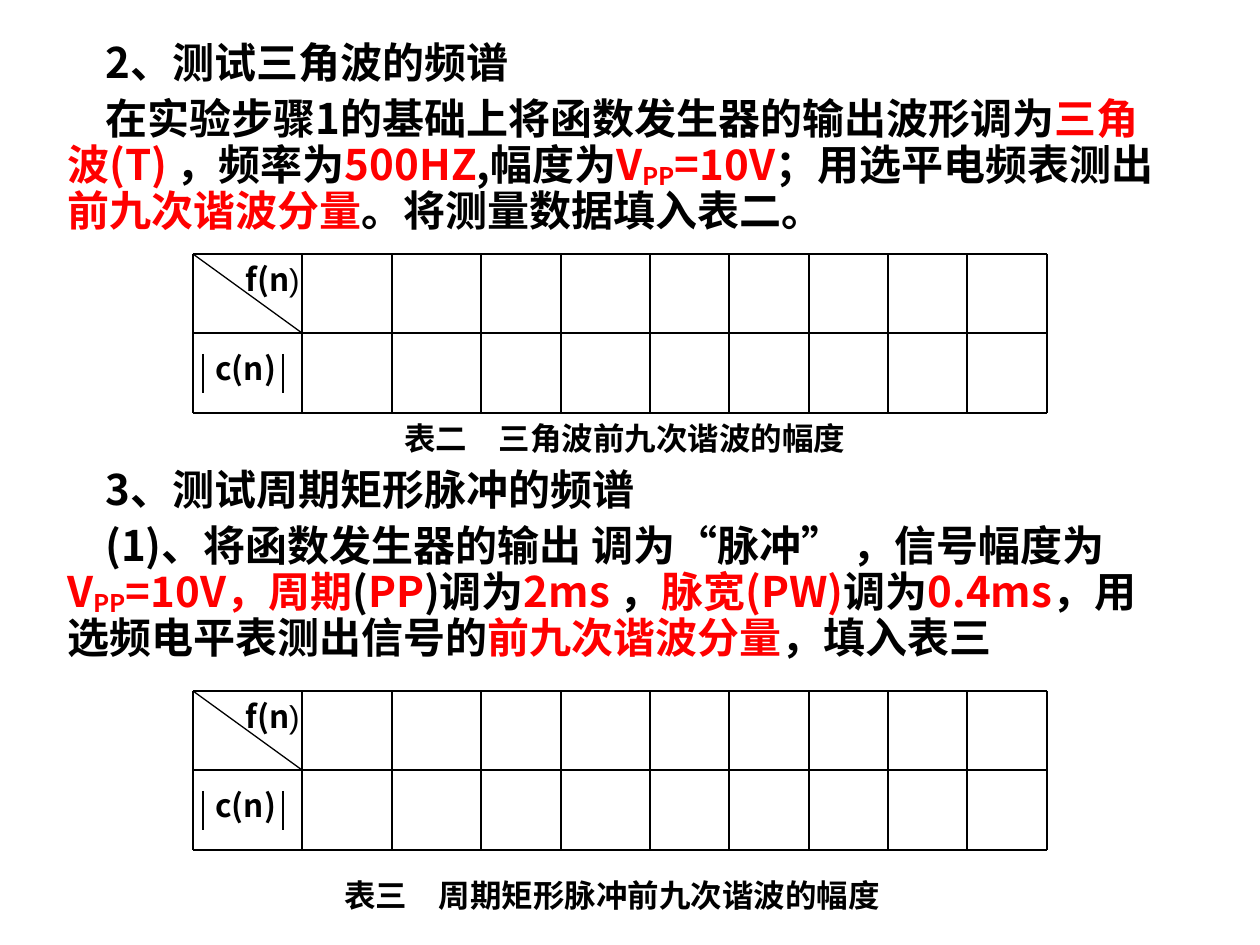
from dataclasses import dataclass
from itertools import accumulate

from lxml import etree
from pptx import Presentation
from pptx.dml.color import RGBColor
from pptx.enum.shapes import MSO_CONNECTOR
from pptx.oxml.ns import qn
from pptx.util import Pt

PX = 914400 // 126
BLACK = RGBColor(0, 0, 0)
RED = RGBColor(0xFF, 0, 0)
STRAIGHT = MSO_CONNECTOR.STRAIGHT
SANS = "Noto Sans CJK SC"
ARIAL = "Arial"
LINE_WIDTH = Pt(0.75)
GRID_LEFT = 193
COLUMN_WIDTHS = (109, 90, 89, 80, 89, 79, 80, 79, 79, 80)
ROW_HEIGHTS = (79, 80)
GRID_TOPS = (254, 691)


@dataclass
class Span:
    text: str
    color: RGBColor = BLACK
    font: str = SANS
    size: int = 18
    bold: bool = True
    lowered: bool = False


@dataclass
class Label:
    left: int
    top: int
    width: int
    spans: list[Span]


def body(text: str, color: RGBColor = BLACK, lowered: bool = False) -> Span:
    return Span(text, color, size=24, lowered=lowered)


# Wording
PEAK_VOLTAGE = [body("V", RED), body("PP", RED, lowered=True)]
BODY_PARAGRAPHS = [
    [body("2、测试三角波的频谱")],
    [body("在实验步骤1的基础上将函数发生器的输出波形调为"),
     body("三角波(T) ", RED), body("，频率为"), body("500HZ", RED),
     body(",幅度为"), *PEAK_VOLTAGE, body("=10V", RED),
     body("；用选平电频表测出"), body("前九次谐波分量", RED),
     body("。将测量数据填入表二。")],
    [body("3、测试周期矩形脉冲的频谱")],
    [body("(1)、将函数发生器的输出 调为“脉冲” ，信号幅度为"),
     *PEAK_VOLTAGE, body("=10V，周期", RED), body("("), body("PP", RED),
     body(")调为"), body("2ms ", RED), body("，"), body("脉宽(PW)", RED),
     body("调为"), body("0.4ms", RED), body("，用选频电平表测出信号的"),
     body("前九次谐波分量", RED), body("，填入表三")],
]
SPACE_BEFORE = (6, 6, 133.5, 6)
CAPTIONS = [
    Label(392, 413, 546, [Span("表二　三角波"), Span("前九次谐波的", font=ARIAL),
                          Span("幅度")]),
    Label(332, 870, 655, [Span("表三　周期矩形脉冲前九次谐波的幅度", font=ARIAL)]),
]
# Offsets from the top left corner of a grid
GRID_LABELS = [
    Label(10, 89, 129, [Span("c(n)")]),
    Label(40, 0, 118, [Span("f(n"), Span(")", font=ARIAL, bold=False)]),
]


def add_spans(para, spans: list[Span]) -> None:
    for span in spans:
        run = para.add_run()
        run.text = span.text
        run.font.size = Pt(span.size)
        run.font.bold = span.bold
        run.font.color.rgb = span.color
        run.font.name = span.font
        properties = run._r.get_or_add_rPr()
        etree.SubElement(properties, qn("a:ea")).set("typeface", span.font)
        if span.lowered:
            properties.set("baseline", "-12000")


def add_text_box(page, left: int, top: int, width: int, height: int):
    box = page.shapes.add_textbox(left * PX, top * PX, width * PX, height * PX)
    box.text_frame.word_wrap = True
    return box.text_frame


def add_label(page, label: Label, left: int = 0, top: int = 0) -> None:
    text_frame = add_text_box(page, left + label.left, top + label.top,
                              label.width, 50)
    add_spans(text_frame.paragraphs[0], label.spans)


def add_line(page, x1: int, y1: int, x2: int, y2: int) -> None:
    line = page.shapes.add_connector(STRAIGHT, x1 * PX, y1 * PX, x2 * PX, y2 * PX)
    line.line.color.rgb = BLACK
    line.line.width = LINE_WIDTH
    etree.SubElement(line._element.spPr, qn("a:effectLst"))


def add_ruled_grid(page, top: int) -> None:
    columns = list(accumulate(COLUMN_WIDTHS, initial=GRID_LEFT))
    rows = list(accumulate(ROW_HEIGHTS, initial=top))
    for y in rows:
        add_line(page, columns[0], y, columns[-1], y)
    for x in columns:
        add_line(page, x, rows[0], x, rows[-1])

    # Header diagonal, labels and magnitude bars
    add_line(page, columns[0], rows[0], columns[1], rows[1])
    for label in GRID_LABELS:
        add_label(page, label, GRID_LEFT, top)
    for x in (GRID_LEFT + 10, GRID_LEFT + 90):
        add_line(page, x, top + 100, x, top + 139)


def main() -> None:
    deck = Presentation()
    deck.slide_width, deck.slide_height = 1260 * PX, 945 * PX
    page = deck.slides.add_slide(deck.slide_layouts[6])

    # Instructions
    text_frame = add_text_box(page, 55, 36, 1134, 804)
    for index, spans in enumerate(BODY_PARAGRAPHS):
        para = text_frame.add_paragraph() if index else text_frame.paragraphs[0]
        para.line_spacing = 0.9
        para.space_before = Pt(SPACE_BEFORE[index])
        para._p.get_or_add_pPr().set("indent", str(38 * PX))
        add_spans(para, spans)

    # Captions
    for caption in CAPTIONS:
        add_label(page, caption)

    # Ruled grids
    for top in GRID_TOPS:
        add_ruled_grid(page, top)

    deck.save("out.pptx")


if __name__ == "__main__":
    main()
